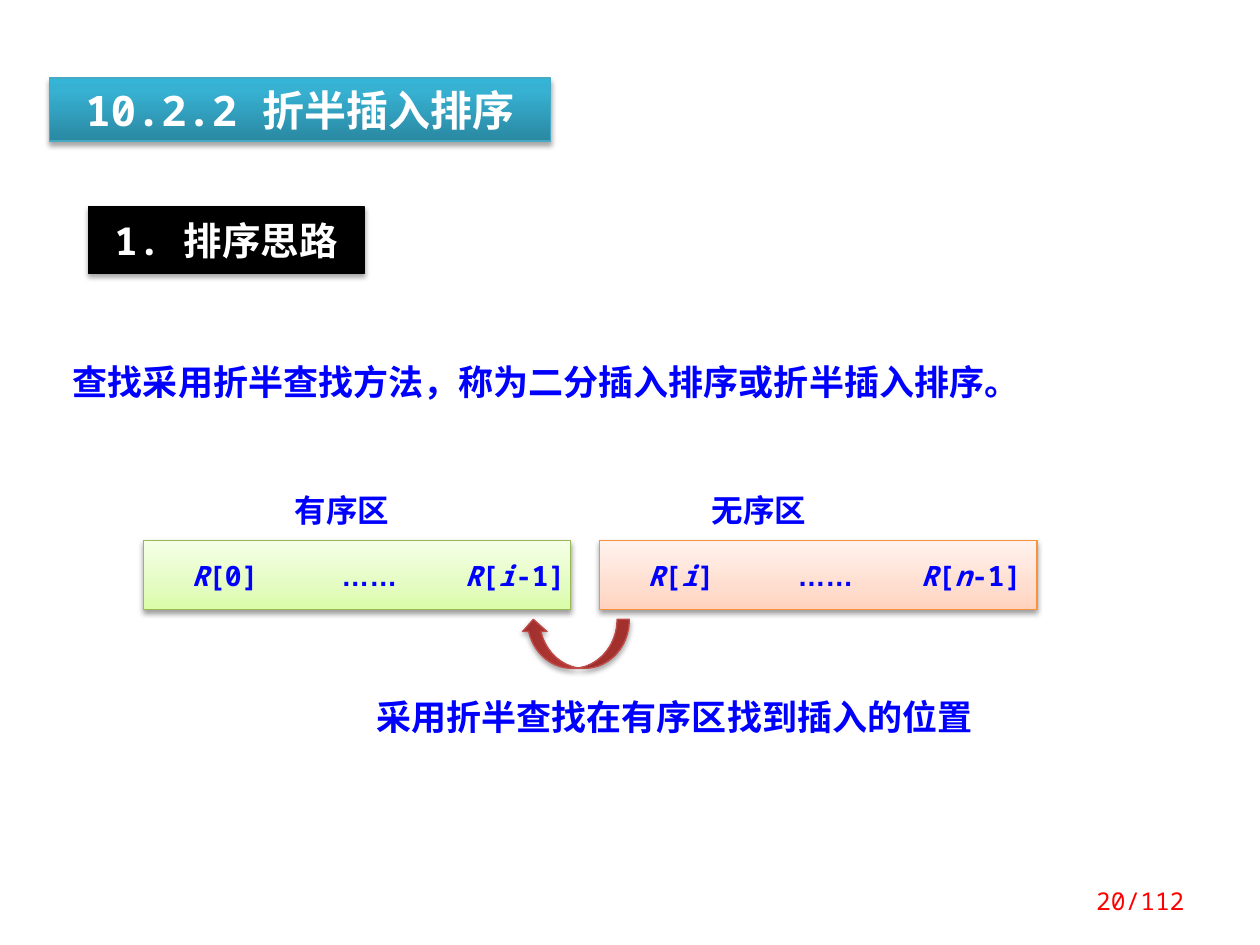
from lxml import etree
from pptx import Presentation, util as u
from pptx.dml.color import RGBColor
from pptx.enum import shapes, text
from pptx.oxml import parse_xml
from pptx.oxml.ns import nsdecls, qn

THEME = {
    "mono": "Noto Sans Mono", "cjk": "Noto Sans CJK SC", "dots": "Arial",
    "white": "FFFFFF", "blue": "0000FF", "red": "FF0000", "black": "000000",
    "title": 24, "head": 22, "body": 20, "label": 18, "cell": 16, "page": 14,
    "teal": ("46AAC5", [(0, "2A88A2"), (80, "37B1D2"), (100, "34B4D6")]),
    "ink": ("000000", [(0, "000000")]),
    "green": ("98B955", [(0, "DAFDA7"), (35, "E4FCC2"), (100, "F5FFE7")]),
    "peach": ("F69240", [(0, "FFD2BD"), (35, "FFDED0"), (100, "FFF2ED")]),
    "brick": ("BF4C48", [(0, "9C2F2D"), (80, "CB3E3A"), (100, "CE3B37")]),
}

HEADS = [
    ("10.2.2 折半插入排序", (0.39, 0.62, 3.98, 0.5), "teal", "title", 0.05),
    ("1. 排序思路", (0.7, 1.64, 2.19, 0.53), "ink", "head", 0.08),
]
NOTES = [
    ("查找采用折半查找方法，称为二分插入排序或折半插入排序。", (0.48, 2.81, 8.35, 0.44), "body", "mono"),
    ("采用折半查找在有序区找到插入的位置", (2.89, 5.47, 5, 0.44), "body", "cjk"),
]
ZONES = [
    ("有序区", 2.24, 1.14, 3.39, "green", ["R", "[0]\t", "……\t", "R", "[", "i", "-1]"]),
    ("无序区", 5.55, 4.76, 3.47, "peach", ["R", "[", "i", "]\t", "……\t", "R", "[", "n", "-1]"]),
]
TABS = (1.19, 2.17)
ARROW = (4.37, 4.68, 0.39, 0.86)
PAGE = ("20/112", (8.28, 6.95, 1.22, 0.4))


def rgb(hue):
    return RGBColor.from_string(hue)


def place(at):
    return [u.Inches(n) for n in at]


def write(shape, runs, size, hue="blue", face="mono", bold=True, align="LEFT", **frame):
    box = shape.text_frame
    base = {"word_wrap": True, "vertical_anchor": text.MSO_ANCHOR.TOP}
    for key, val in {**base, **frame}.items():
        setattr(box, key, val)
    para = box.paragraphs[0]
    para.alignment = getattr(text.PP_ALIGN, align)
    for words in runs:
        run = para.add_run()
        run.text = words
        name = THEME["dots" if words.startswith("…") else face]
        look = {"name": name, "size": u.Pt(THEME[size]), "bold": bold,
                "italic": words in ("R", "i", "n")}
        for key, val in look.items():
            setattr(run.font, key, val)
        run.font.color.rgb = rgb(THEME[hue])
        east = etree.SubElement(run.font._element, qn("a:ea"))
        east.set("typeface", name if name == THEME["dots"] else THEME["cjk"])
    return para


def note(page, words, at, size, **look):
    return write(page.shapes.add_textbox(*place(at)), [words], size, **look)


def block(page, kind, at, skin, dist=1.8, dim=35):
    shape = page.shapes.add_shape(kind, *place(at))
    edge, stops = THEME[skin]
    shape.line.color.rgb = rgb(edge)
    shape.line.width = u.Pt(0.75)
    if len(stops) == 1:
        shape.fill.solid()
        shape.fill.fore_color.rgb = rgb(stops[0][1])
    else:
        shape.fill.gradient()
        shape.fill.gradient_angle = 90
        grad = shape._element.spPr.find(qn("a:gradFill")).find(qn("a:gsLst"))
        for old in list(grad):
            grad.remove(old)
        for pos, hue in stops:
            grad.append(parse_xml(
                f'<a:gs {nsdecls("a")} pos="{pos * 1000}"><a:srgbClr val="{hue}"/></a:gs>'))
    shape.shadow.inherit = False
    shape._element.spPr.find(qn("a:effectLst")).append(parse_xml(
        f'<a:outerShdw {nsdecls("a")} blurRad="{u.Pt(3.1)}" dist="{u.Pt(dist)}" '
        f'dir="5400000" rotWithShape="0"><a:srgbClr val="{THEME["black"]}">'
        f'<a:alpha val="{dim * 1000}"/></a:srgbClr></a:outerShdw>'))
    return shape


def main():
    deck = Presentation()
    deck.slide_width, deck.slide_height = u.Inches(10), u.Inches(7.5)
    page = deck.slides.add_slide(deck.slide_layouts[6])
    rect = shapes.MSO_SHAPE.RECTANGLE

    for words, at, skin, size, pad in HEADS:
        write(block(page, rect, at, skin), [words], size, "white", align="CENTER",
              margin_top=u.Inches(pad), margin_bottom=u.Inches(pad))
    for words, at, size, face in NOTES:
        note(page, words, at, size, face=face)
    for label, left, start, wide, skin, runs in ZONES:
        note(page, label, (left, 3.85, 1.26, 0.4), "label")
        cell = block(page, rect, (start, 4.29, wide, 0.55), skin, 1.6, 38)
        para = write(cell, runs, "cell", vertical_anchor=text.MSO_ANCHOR.MIDDLE,
                     margin_left=u.Inches(0.38), margin_right=0)
        tabs = etree.SubElement(para._p.get_or_add_pPr(), qn("a:tabLst"))
        for stop in TABS:
            etree.SubElement(tabs, qn("a:tab"), pos=str(u.Inches(stop)), algn="l")

    arrow = block(page, shapes.MSO_SHAPE.CURVED_LEFT_ARROW, ARROW, "brick")
    arrow.rotation = 90
    note(page, *PAGE, "page", hue="red", bold=False, align="RIGHT",
         vertical_anchor=text.MSO_ANCHOR.MIDDLE)
    deck.save("out.pptx")


if __name__ == "__main__":
    main()
